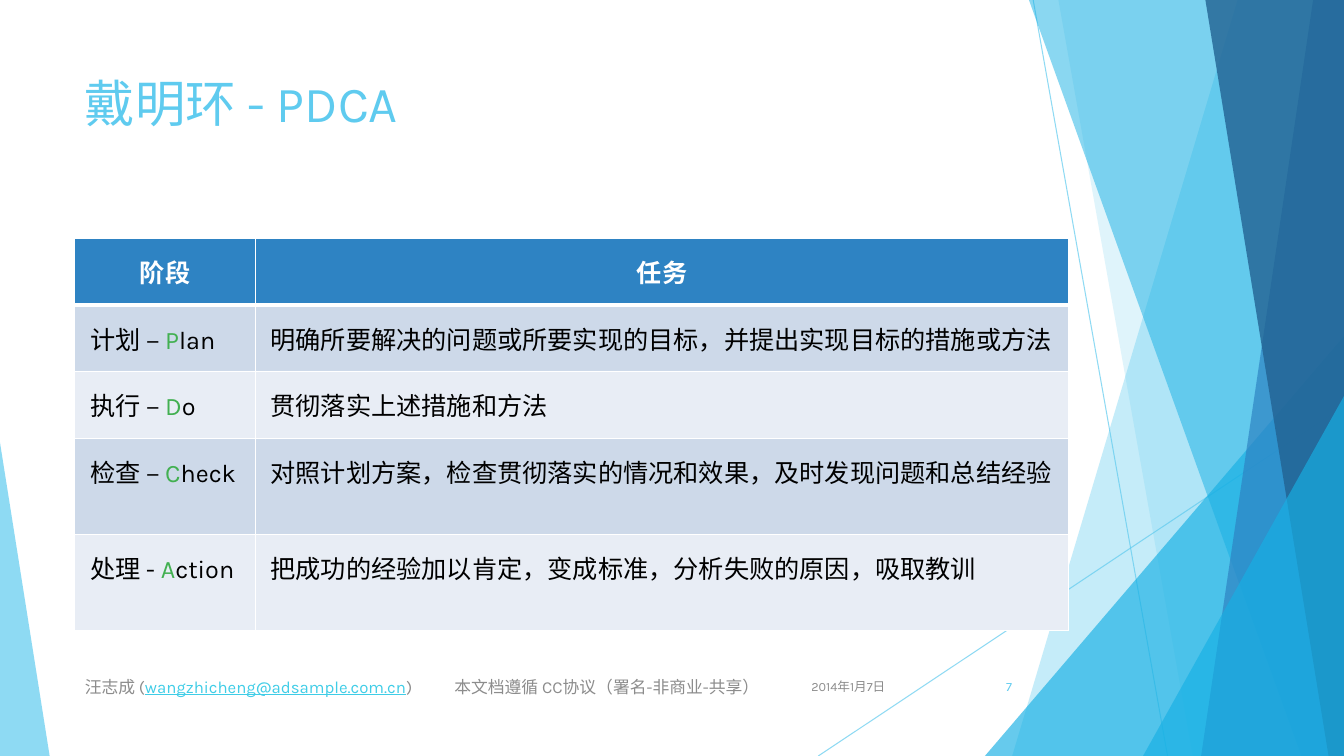
from dataclasses import dataclass

from lxml import etree
from pptx import Presentation
from pptx import util as u
from pptx.dml import color
from pptx.enum import shapes, text
from pptx.oxml import ns

Pt = u.Pt
WIDE, HIGH = 960, 540
LEFT = 53.5
LEFT_AL, MID_AL, RIGHT_AL = (
    text.PP_ALIGN.LEFT, text.PP_ALIGN.CENTER, text.PP_ALIGN.RIGHT)


@dataclass(frozen=True)
class Theme:
    font: str = "Karla"
    sky: str = "5FCBEF"
    cyan: str = "17B0E4"
    blue: str = "2E83C3"
    navy: str = "226292"
    green: str = "42B051"
    link: str = "3FCDE7"
    gray: str = "8C8C8C"
    black: str = "000000"
    white: str = "FFFFFF"
    bands: tuple = ("CDD9E9", "E8EDF5")
    title: int = 36
    body: int = 18
    foot: int = 12
    small: int = 9


T = Theme()

TASKS = [
    ("计划 – ", "Plan", "明确所要解决的问题或所要实现的目标，并提出实现目标的措施或方法"),
    ("执行 – ", "Do", "贯彻落实上述措施和方法"),
    ("检查 – ", "Check", "对照计划方案，检查贯彻落实的情况和效果，及时发现问题和总结经验"),
    ("处理 - ", "Action", "把成功的经验加以肯定，变成标准，分析失败的原因，吸取教训"),
]


def rgb(code):
    return color.RGBColor.from_string(code)


def fade(item, alpha):
    """Set the opacity, in percent, of every colour in a shape."""
    for node in item.element.spPr.iter(ns.qn("a:srgbClr")):
        etree.SubElement(node, ns.qn("a:alpha"), val=str(alpha * 1000))


def paint(shape, code, alpha):
    shape.shadow.inherit = False
    shape.fill.solid()
    shape.fill.fore_color.rgb = rgb(code)
    shape.line.fill.background()
    fade(shape, alpha)


def add_line(slide, *ends):
    line = slide.shapes.add_connector(
        shapes.MSO_CONNECTOR.STRAIGHT, *map(Pt, ends))
    line.line.color.rgb = rgb(T.sky)
    line.line.width = Pt(0.75)
    fade(line, 70)
    etree.SubElement(line.element.spPr, ns.qn("a:effectLst"))


def add_band(slide, top, base, code, alpha):
    """Fill from a slanted edge to the right side of the slide."""
    form = slide.shapes.build_freeform(Pt(top), 0, scale=1.0)
    form.add_line_segments([(Pt(x), Pt(y)) for x, y in (
        (WIDE, 0), (WIDE, HIGH), (base, HIGH))])
    paint(form.convert_to_shape(), code, alpha)


def add_wedge(slide, x, y, width, tip, code, alpha):
    """Add a triangle that stands on the bottom of the slide."""
    wedge = slide.shapes.add_shape(
        shapes.MSO_SHAPE.ISOSCELES_TRIANGLE,
        Pt(x), Pt(y), Pt(width), Pt(HIGH - y))
    wedge.adjustments[0] = tip
    paint(wedge, code, alpha)


def add_decor(slide):
    add_line(slide, 738, 0, 834, HIGH)
    add_line(slide, WIDE, 290, 584.5, HIGH)
    add_band(slide, 884, 723, T.sky, 36)
    add_band(slide, 756, 852, T.sky, 20)
    add_wedge(slide, 703.5, 240, 256.5, 1, T.cyan, 66)
    add_band(slide, 735, 929.5, T.cyan, 50)
    add_band(slide, 938, 858, T.blue, 70)
    add_band(slide, 861, 949, T.navy, 80)
    add_wedge(slide, 816.5, 283, 143.5, 1, T.cyan, 66)
    add_wedge(slide, 0, 316, 35.5, 0, T.sky, 70)


def write(frame, parts, size, align=LEFT_AL, bold=False):
    """Fill the first paragraph with (wording, colour) runs."""
    para = frame.paragraphs[0]
    para.alignment = align
    for words, code in parts:
        run = para.add_run()
        run.text = words
        run.font.name = T.font
        run.font.size = Pt(size)
        run.font.bold = bold
        run.font.color.rgb = rgb(code)
    return para


def add_title(slide, words):
    title = slide.shapes.title
    title.left, title.top = Pt(LEFT), Pt(48)
    title.width, title.height = Pt(677), Pt(104)
    frame = title.text_frame
    frame.auto_size = text.MSO_AUTO_SIZE.NONE
    frame.vertical_anchor = text.MSO_ANCHOR.TOP
    write(frame, [(words, T.sky)], T.title)


def add_edges(cell, base):
    props = cell._tc.get_or_add_tcPr()
    for side in "LRTB":
        width = base if side == "B" else 1
        edge = etree.SubElement(props, ns.qn("a:ln" + side), w=str(Pt(width)))
        fill = etree.SubElement(edge, ns.qn("a:solidFill"))
        etree.SubElement(fill, ns.qn("a:srgbClr"), val=T.white)


def set_cell(cell, parts, back, head=False):
    cell.margin_left = cell.margin_right = Pt(10.8)
    cell.margin_top = cell.margin_bottom = Pt(10.8)
    add_edges(cell, 3 if head else 1)
    cell.fill.solid()
    cell.fill.fore_color.rgb = rgb(back)
    write(cell.text_frame, parts, T.body, MID_AL if head else LEFT_AL, head)


def add_tasks(slide):
    cols, row = (129, 581), 29.5
    count = len(TASKS) + 1
    table = slide.shapes.add_table(
        count, len(cols), Pt(LEFT), Pt(170), Pt(sum(cols)),
        Pt(row * count)).table
    for col, width in zip(table.columns, cols):
        col.width = Pt(width)
    for col, words in enumerate(("阶段", "任务")):
        set_cell(table.cell(0, col), [(words, T.white)], T.blue, True)
    for num, (stage, name, task) in enumerate(TASKS):
        back = T.bands[num % 2]
        parts = [(stage, T.black), (name[0], T.green), (name[1:], T.black)]
        set_cell(table.cell(num + 1, 0), parts, back)
        set_cell(table.cell(num + 1, 1), [(task, T.black)], back)


def add_note(slide, x, width, parts, size, align=LEFT_AL):
    """Add a text box in the footer row."""
    box = slide.shapes.add_textbox(Pt(x), Pt(476), Pt(width), Pt(29))
    frame = box.text_frame
    frame.word_wrap = True
    frame.vertical_anchor = text.MSO_ANCHOR.MIDDLE
    return write(frame, parts, size, align)


def add_foot(slide):
    add_note(slide, 567.5, 72, [("2014年1月7日", T.gray)], T.small, RIGHT_AL)
    add_note(slide, 676, 54, [("7", T.sky)], T.small, RIGHT_AL)
    para = add_note(slide, LEFT, 496, [
        ("汪志成 (", T.gray),
        ("wangzhicheng@adsample.com.cn", T.link),
        (")\t本文档遵循 CC协议（署名-非商业-共享）", T.gray),
    ], T.foot)
    para.runs[1].font.underline = True
    tabs = etree.SubElement(para._p.get_or_add_pPr(), ns.qn("a:tabLst"))
    etree.SubElement(tabs, ns.qn("a:tab"), pos=str(Pt(264)), algn="l")


def main():
    deck = Presentation()
    deck.slide_width, deck.slide_height = Pt(WIDE), Pt(HIGH)
    slide = deck.slides.add_slide(deck.slide_layouts[5])
    add_decor(slide)
    add_title(slide, "戴明环 - PDCA")
    add_tasks(slide)
    add_foot(slide)
    deck.save("out.pptx")


if __name__ == "__main__":
    main()
